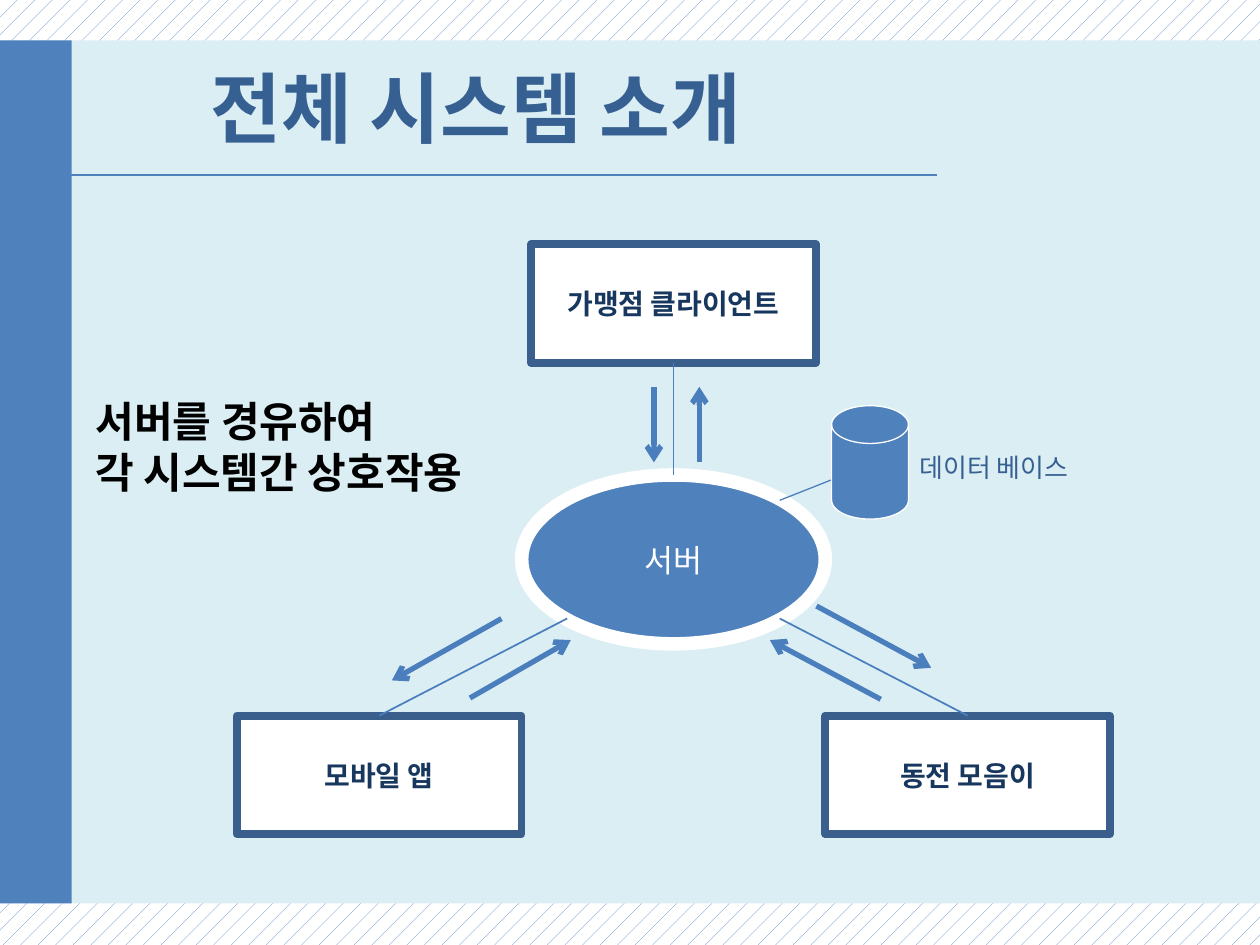
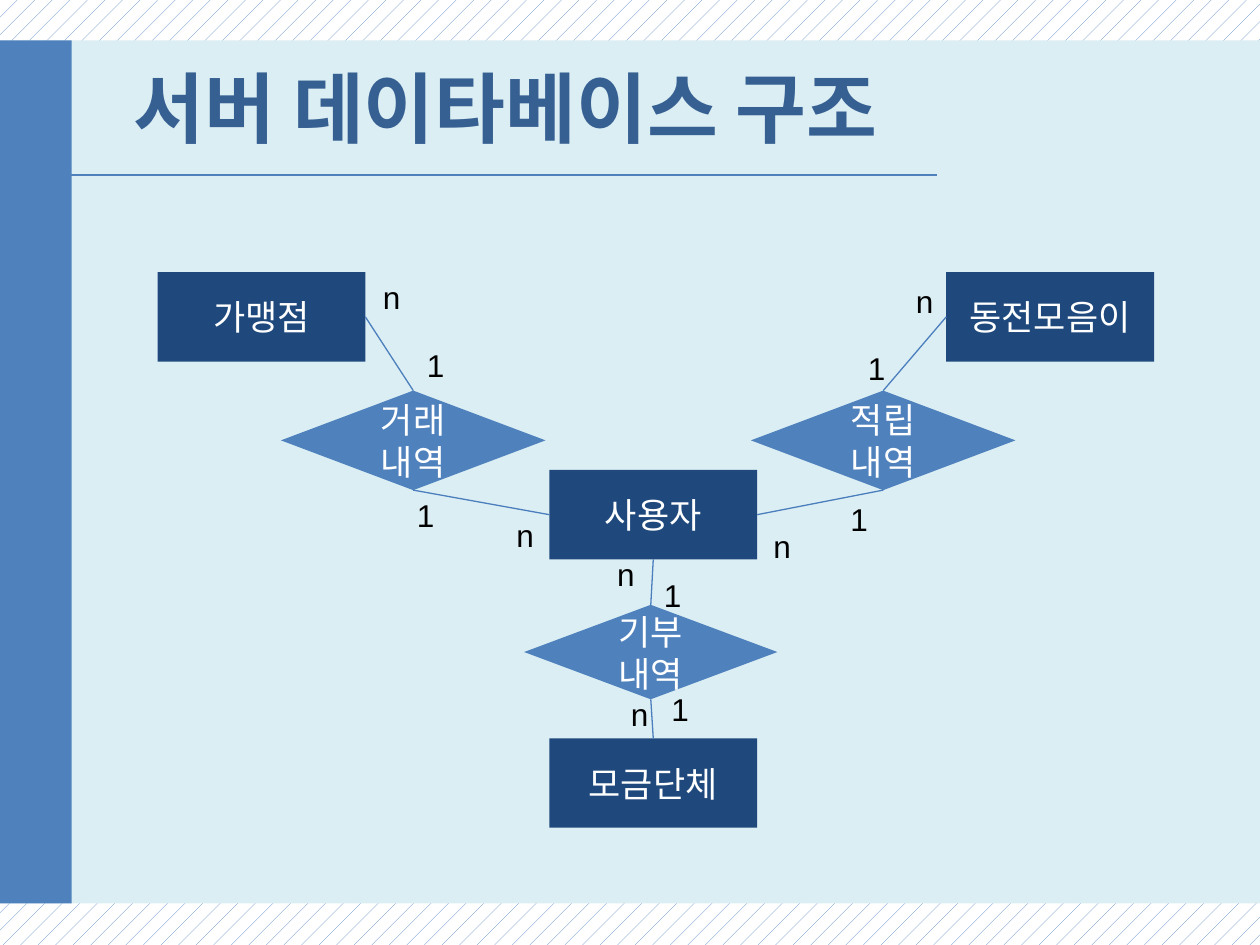
from collections import namedtuple

from lxml.etree import SubElement
from pptx import Presentation
from pptx.dml.color import RGBColor
from pptx.enum.dml import MSO_PATTERN
from pptx.enum.shapes import MSO_CONNECTOR, MSO_SHAPE as Kind
from pptx.enum.text import MSO_ANCHOR as Anchor, PP_ALIGN as Align
from pptx.oxml.ns import qn
from pptx.util import Inches, Pt

WHITE = RGBColor(0xFF, 0xFF, 0xFF)
BLACK = RGBColor(0x00, 0x00, 0x00)
PALE = RGBColor(0xDB, 0xEE, 0xF4)
BLUE = RGBColor(0x4F, 0x81, 0xBD)
WIRE = RGBColor(0x4B, 0x7E, 0xBC)
EDGE = RGBColor(0x3A, 0x5F, 0x8C)
HEAD = RGBColor(0x37, 0x60, 0x92)
NAVY = RGBColor(0x17, 0x37, 0x5E)
DARK = RGBColor(0x1F, 0x49, 0x7D)
HANGUL = "Noto Sans CJK KR"
LATIN = "Arial"

WIDE, TALL = Inches(10), Inches(7.5)
COLS, ROWS = 100, 75
CELL = WIDE // COLS

Box = namedtuple("Box", "left top wide tall")
PAGE = Box(0, 0, COLS, ROWS)
FLOW = Box(18.8, 19.4, 69.3, 46.8)
NOTE = Box(6.6, 32.8, 35.8, 5.2)
MODEL = Box(12.5, 21.6, 79.1, 44.1)

TOP, LEFT, BASE, RIGHT = range(4)


def sub(box, left, top, wide, tall):
    return Box(box.left + left, box.top + top, wide, tall)


def spot(box, x, y):
    return box.left + box.wide * x, box.top + box.tall * y


def emu(cells):
    return [round(n * CELL) for n in cells]


def write(shape, text, size=18, color=WHITE, face=HANGUL, bold=False,
          align=Align.CENTER, anchor=Anchor.MIDDLE):
    frame = shape.text_frame
    frame.word_wrap = True
    frame.vertical_anchor = anchor
    for i, line in enumerate(text.split("\n")):
        para = frame.add_paragraph() if i else frame.paragraphs[0]
        para.alignment = align
        run = para.add_run()
        run.text = line
        font = run.font
        font.size, font.bold, font.name = Pt(size), bold, face
        font.color.rgb = color
        SubElement(font._element, qn("a:ea")).set("typeface", HANGUL)


def label(slide, box, text, **style):
    write(slide.shapes.add_textbox(*emu(box)), text, **style)


def draw(slide, kind, box, fill, edge=None, width=1):
    shape = slide.shapes.add_shape(kind, *emu(box))
    shape.shadow.inherit = False
    shape.fill.solid()
    shape.fill.fore_color.rgb = fill
    if edge is None:
        shape.line.fill.background()
    else:
        shape.line.color.rgb = edge
        shape.line.width = Pt(width)
    return shape


def wire(slide, start, end, width=1, color=WIRE, arrow=False):
    line = slide.shapes.add_connector(
        MSO_CONNECTOR.STRAIGHT, *emu(start), *emu(end))
    line.line.color.rgb = color
    line.line.width = Pt(width)
    if arrow:
        SubElement(line.line._get_or_add_ln(), qn("a:tailEnd")).set("type", "arrow")
    SubElement(line._element.spPr, qn("a:effectLst"))
    return line


def base(deck, box, title, wide):
    slide = deck.slides.add_slide(deck.slide_layouts[6])
    fill = slide.background.fill
    fill.patterned()
    fill.pattern = MSO_PATTERN.PERCENT_5
    fill.fore_color.rgb, fill.back_color.rgb = BLUE, WHITE
    body = sub(box, 0, 3.2, box.wide, 68.5)
    draw(slide, Kind.RECTANGLE, body, PALE)
    wire(slide, (box.left + 2.8, box.top + 13.9),
         (box.left + 74.4, box.top + 13.9), color=BLUE)
    draw(slide, Kind.RECTANGLE, body._replace(wide=5.7), BLUE)
    label(slide, sub(box, 5.9, 3.3, wide, 10.4), title,
          size=44, color=HEAD, bold=True)
    return slide


def flow(slide, box):
    wide, tall = 22.6, 9.4
    mid, low = (box.wide - wide) / 2, box.tall - tall
    nodes = []
    for left, top, text in ((mid, 0, "가맹점 클라이언트"),
                            (0, low, "모바일 앱"),
                            (2 * mid, low, "동전 모음이")):
        node = sub(box, left, top, wide, tall)
        shape = draw(slide, Kind.RECTANGLE, node, WHITE, EDGE, 4.5)
        write(shape, text, size=16, color=NAVY, bold=True)
        nodes.append(node)

    hub = sub(box, (box.wide - 24.1) / 2, 18.3, 24.1, 13.4)
    write(draw(slide, Kind.OVAL, hub, BLUE, WHITE, 7.75), "서버")
    near, far = 0.15, 0.85
    shop, app, coin = nodes
    wire(slide, spot(shop, 0.5, 1), spot(hub, 0.5, 0))
    wire(slide, spot(hub, near, far), spot(app, 0.5, 0))
    wire(slide, spot(hub, far, far), spot(coin, 0.5, 0))

    for x1, y1, x2, y2 in ((21, 29.7, 12.3, 34.6), (18.5, 36, 26.5, 31.4),
                           (33.1, 11.3, 33.1, 17.3), (36.7, 17.3, 36.7, 11.3),
                           (51.1, 36.1, 42.3, 31.4), (46, 28.7, 55.1, 33.6)):
        wire(slide, (box.left + x1, box.top + y1),
             (box.left + x2, box.top + y2), width=3, arrow=True)

    disk = sub(box, 47.2, 12.8, 6.1, 9)
    wire(slide, spot(hub, far, near), spot(disk, 0.2, 0.6), width=0.75)
    draw(slide, Kind.FLOWCHART_MAGNETIC_DISK, disk, BLUE, WHITE, 0.75)
    label(slide, sub(box, 53.2, 15.1, 15.9, 5.2), "데이터 베이스",
          size=14.8, color=HEAD, align=Align.LEFT)


def model(slide, box):
    def item(kind, left, top, wide, tall, fill, text):
        shape = draw(slide, kind, sub(box, left, top, wide, tall), fill)
        write(shape, text, size=20, face=LATIN)
        return shape

    def table(left, top, text):
        return item(Kind.RECTANGLE, left, top, 16.5, 7.1, DARK, text)

    def bond(left, top, wide, tall, text):
        return item(Kind.FLOWCHART_DECISION, left, top, wide, tall, BLUE, text)

    user = table(31.1, 15.7, "사용자")
    save = bond(47.1, 9.4, 21, 7.9, "적립\n내역")
    deal = bond(9.8, 9.4, 21, 7.9, "거래\n내역")
    gift = bond(29.1, 26.4, 20.1, 7.5, "기부\n내역")
    fund = table(31.1, 37, "모금단체")
    coin = table(62.6, 0, "동전모음이")
    shop = table(0, 0, "가맹점")

    for one, out, two, into in ((deal, TOP, shop, RIGHT),
                                (save, TOP, coin, LEFT),
                                (gift, TOP, user, BASE),
                                (user, LEFT, deal, BASE),
                                (user, RIGHT, save, BASE),
                                (gift, BASE, fund, TOP)):
        line = wire(slide, (0, 0), (0, 0), width=0.75)
        line.begin_connect(one, out)
        line.end_connect(two, into)

    marks = {
        "n": ((16.9, 0), (27.5, 18.9), (35.5, 22),
              (36.6, 33.1), (47.9, 19.7), (59.2, 0.3)),
        "1": ((20.4, 5.4), (19.6, 17.3), (39.2, 23.6),
              (39.8, 32.7), (54, 17.6), (55.4, 5.6)),
    }
    for text, spots in marks.items():
        for left, top in spots:
            label(slide, sub(box, left, top, 3.6, 4), text, color=BLACK,
                  face=LATIN, align=Align.LEFT, anchor=Anchor.TOP)


def main():
    deck = Presentation()
    deck.slide_width, deck.slide_height = WIDE, TALL
    slide = base(deck, PAGE, "전체 시스템 소개", 63.8)
    flow(slide, FLOW)
    label(slide, NOTE, "서버를 경유하여\n각 시스템간 상호작용",
          size=24, color=BLACK, bold=True, align=Align.LEFT)
    model(base(deck, PAGE, "서버 데이타베이스 구조", 68.5), MODEL)
    deck.save("out.pptx")


if __name__ == "__main__":
    main()
